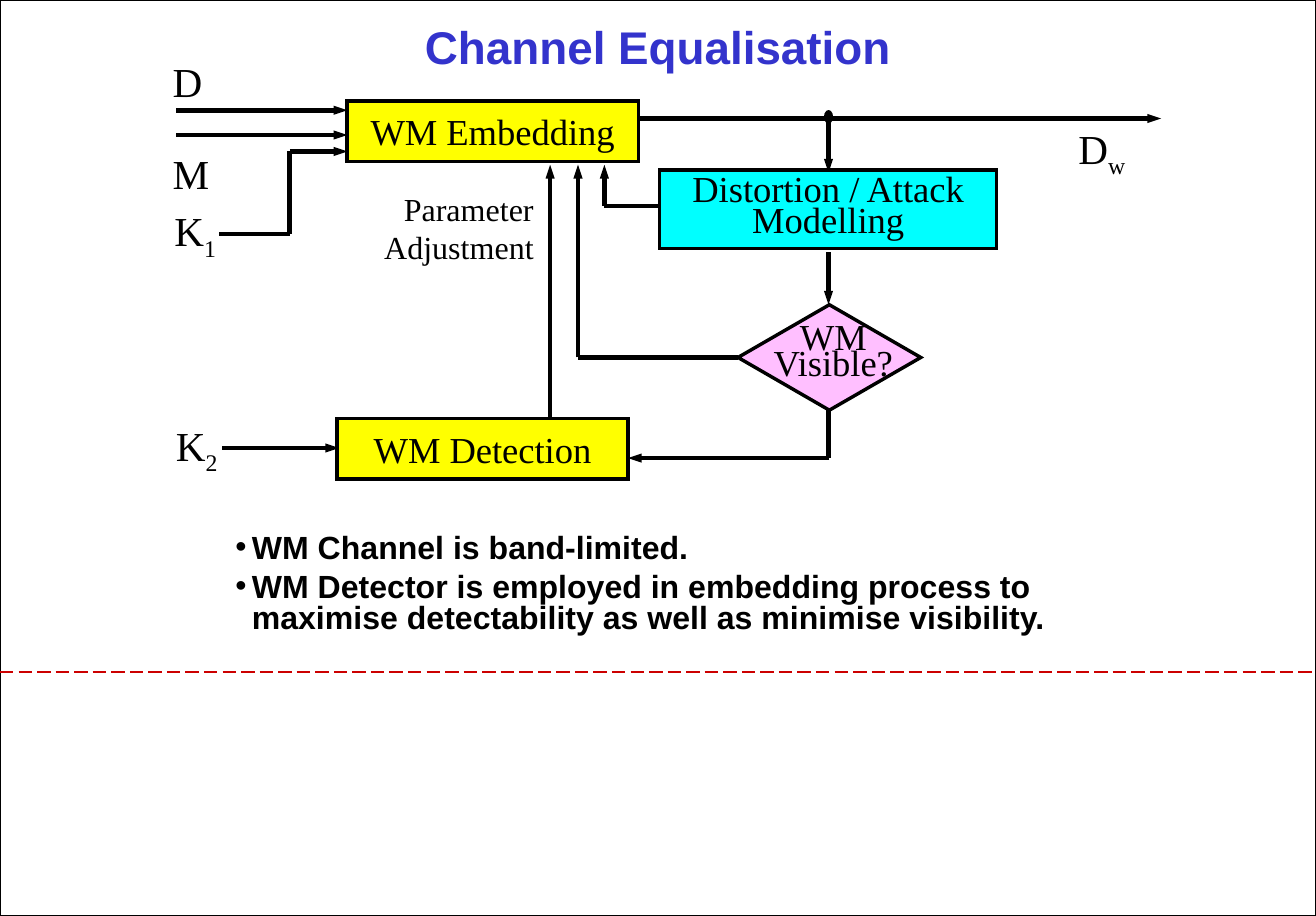
from dataclasses import dataclass
from itertools import pairwise

from lxml.etree import SubElement
from pptx import Presentation
from pptx.dml.color import RGBColor
from pptx.enum.dml import MSO_LINE
from pptx.enum.shapes import MSO_CONNECTOR, MSO_SHAPE
from pptx.enum.text import MSO_ANCHOR, MSO_AUTO_SIZE, PP_ALIGN
from pptx.oxml.ns import qn
from pptx.shapes.autoshape import Shape
from pptx.shapes.connector import Connector
from pptx.slide import Slide
from pptx.text.text import TextFrame
from pptx.util import Pt

BLACK = RGBColor(0x00, 0x00, 0x00)
BLUE = RGBColor(0x33, 0x33, 0xCC)
RED = RGBColor(0xCC, 0x00, 0x00)
YELLOW = RGBColor(0xFF, 0xFF, 0x00)
CYAN = RGBColor(0x00, 0xFF, 0xFF)
PINK = RGBColor(0xFF, 0xBF, 0xFF)
SERIF = "Times New Roman"
SANS = "Arial"
WIDE, HIGH = 575.3, 400.3
Point = tuple[float, float]
Rect = tuple[float, float, float, float]


@dataclass(frozen=True)
class Block:
    rect: Rect
    fill: RGBColor
    text: str = ""
    form: MSO_SHAPE = MSO_SHAPE.RECTANGLE
    space: float = 1.0


@dataclass(frozen=True)
class Label:
    rect: Rect
    text: str
    sub: str = ""
    size: float = 18
    align: PP_ALIGN = PP_ALIGN.LEFT
    space: float = 1.0


@dataclass(frozen=True)
class Route:
    points: tuple[Point, ...]
    head: str = ""


BLOCKS = (
    Block((151.7, 44.1, 127.4, 26.6), YELLOW, "WM Embedding"),
    Block((147.3, 182.9, 127.4, 26.6), YELLOW, "WM Detection"),
    Block((288.4, 74.4, 147.4, 34.3), CYAN, "Distortion / Attack Modelling", space=0.7),
    Block((322.6, 133.2, 79.9, 46.1), PINK, form=MSO_SHAPE.DIAMOND),
)
LABELS = (
    Label((68.4, 20.9, 27.4, 28.8), "D"),
    Label((68.4, 61.2, 30.2, 28.8), "M"),
    Label((69.1, 86.4, 34, 31.7), "K", "1"),
    Label((69.8, 180, 34, 31.7), "K", "2"),
    Label((464.4, 50.4, 42, 31.7), "D", "w"),
    Label((160.6, 79.2, 79.9, 41), "Parameter\nAdjustment", size=14, align=PP_ALIGN.RIGHT),
    Label((330.5, 140.4, 67.7, 30.2), "WM\nVisible?", size=16, align=PP_ALIGN.CENTER, space=0.6),
)
ROUTES = (
    Route(((77, 48.2), (151.9, 48.2))),
    Route(((77, 59), (151.9, 59))),
    Route(((95.8, 102.2), (126.7, 102.2), (126.7, 66.2), (151.9, 66.2))),
    Route(((362.2, 51.1), (362.2, 75.5)), "oval"),
    Route(((279.4, 51.8), (507.6, 51.8))),
    Route(((362.2, 110.2), (362.2, 133.2))),
    Route(((362.2, 179.3), (362.2, 200.2), (274.5, 200.2))),
    Route(((288.7, 90), (264.2, 90), (264.2, 72))),
    Route(((322.6, 156.2), (252.7, 156.2), (252.7, 72))),
    Route(((240.5, 182.9), (240.5, 72))),
    Route(((97.2, 195.8), (148.3, 195.8))),
)
POINTS = (
    "WM Channel is band-limited.",
    "WM Detector is employed in embedding process to maximise detectability "
    "as well as minimise visibility.",
)


def style(frame: TextFrame, face: str, size: float, hue: RGBColor, bold: bool,
          align: PP_ALIGN, space: float, before: float = 0) -> None:
    for para in frame.paragraphs:
        para.alignment = align
        para.line_spacing = space
        para.space_before = Pt(before)
        for run in para.runs:
            run.font.name = face
            run.font.size = Pt(size)
            run.font.bold = bold
            run.font.color.rgb = hue


def add_line(slide: Slide, start: Point, end: Point, hue: RGBColor, width: float) -> Connector:
    line = slide.shapes.add_connector(
        MSO_CONNECTOR.STRAIGHT, *(Pt(v) for v in (*start, *end)))
    line.line.color.rgb = hue
    line.line.width = Pt(width)
    SubElement(line._element.spPr, qn("a:effectLst"))
    return line


def add_tip(line: Connector, side: str, kind: str) -> None:
    SubElement(line.line._get_or_add_ln(), qn(side), type=kind, w="sm", len="med")


def add_route(slide: Slide, route: Route) -> None:
    lines = [add_line(slide, a, b, BLACK, 2) for a, b in pairwise(route.points)]
    if route.head:
        add_tip(lines[0], "a:headEnd", route.head)
    add_tip(lines[-1], "a:tailEnd", "triangle")


def add_form(slide: Slide, form: MSO_SHAPE, rect: Rect, width: float) -> Shape:
    shape = slide.shapes.add_shape(form, *(Pt(v) for v in rect))
    shape.shadow.inherit = False
    shape.fill.background()
    shape.line.color.rgb = BLACK
    shape.line.width = Pt(width)
    SubElement(shape.line._get_or_add_ln(), qn("a:miter"), lim="800000")
    return shape


def add_block(slide: Slide, block: Block) -> None:
    shape = add_form(slide, block.form, block.rect, 1.5)
    shape.fill.solid()
    shape.fill.fore_color.rgb = block.fill
    if block.text:
        frame = shape.text_frame
        frame.text = block.text
        frame.word_wrap = True
        frame.vertical_anchor = MSO_ANCHOR.TOP
        style(frame, SERIF, 16, BLACK, False, PP_ALIGN.CENTER, block.space, 10)


def add_label(slide: Slide, label: Label) -> None:
    frame = slide.shapes.add_textbox(*(Pt(v) for v in label.rect)).text_frame
    frame.word_wrap = False
    frame.auto_size = MSO_AUTO_SIZE.NONE
    para = frame.paragraphs[0]
    para.text = label.text
    if label.sub:
        run = para.add_run()
        run.text = label.sub
        run._r.get_or_add_rPr().set("baseline", "-25000")
    style(frame, SERIF, label.size, BLACK, False, label.align, label.space)


def add_points(slide: Slide, rect: Rect) -> None:
    frame = slide.shapes.add_textbox(*(Pt(v) for v in rect)).text_frame
    frame.word_wrap = True
    frame.text = "\n".join(POINTS)
    style(frame, SANS, 14, BLACK, True, PP_ALIGN.LEFT, 0.8, 3.5)
    for para in frame.paragraphs:
        props = para._p.get_or_add_pPr()
        props.set("marL", str(Pt(7.2)))
        props.set("indent", str(Pt(-7.2)))
        SubElement(props, qn("a:buFont"), typeface=SANS)
        SubElement(props, qn("a:buChar"), char="•")


def set_title(slide: Slide) -> None:
    title = slide.shapes.title
    title.left, title.top, title.width, title.height = Pt(0), Pt(0), Pt(WIDE), Pt(40.3)
    frame = title.text_frame
    frame.text = "Channel Equalisation"
    frame.auto_size = MSO_AUTO_SIZE.NONE
    frame.vertical_anchor = MSO_ANCHOR.MIDDLE
    frame.margin_left = frame.margin_right = Pt(5)
    frame.margin_top = frame.margin_bottom = Pt(2.2)
    style(frame, SANS, 20, BLUE, True, PP_ALIGN.CENTER, 1.0)


def main() -> None:
    deck = Presentation()
    deck.slide_width, deck.slide_height = Pt(WIDE), Pt(HIGH)
    slide = deck.slides.add_slide(deck.slide_layouts[5])
    add_form(slide, MSO_SHAPE.RECTANGLE, (0, 0, WIDE, HIGH), 0.75)
    rule = add_line(slide, (0, 293.8), (WIDE, 293.8), RED, 0.75)
    rule.line.dash_style = MSO_LINE.LONG_DASH
    set_title(slide)
    add_points(slide, (95.8, 230.4, 377.3, 54))
    for route in ROUTES:
        add_route(slide, route)
    for block in BLOCKS:
        add_block(slide, block)
    for label in LABELS:
        add_label(slide, label)
    deck.save("out.pptx")


if __name__ == "__main__":
    main()
